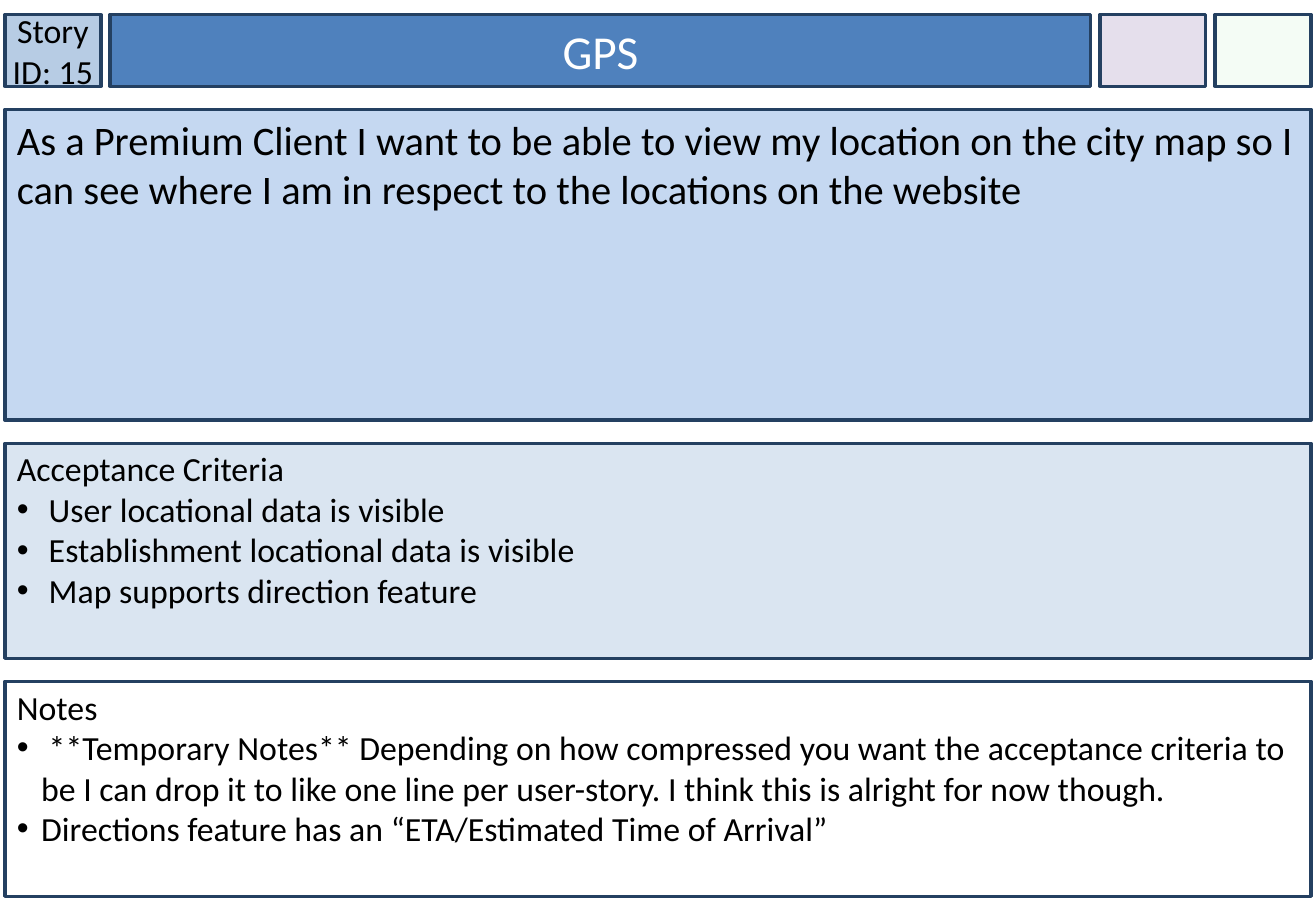
import dataclasses
import itertools

import lxml.etree
import pptx
import pptx.dml.color
import pptx.enum.shapes
import pptx.enum.text
import pptx.oxml
import pptx.oxml.ns
import pptx.util

COLORS = {
    "outline": "244061",
    "id": "B7CCE4",
    "title": "4F81BD",
    "story": "C5D8F1",
    "criteria": "DAE5F1",
    "priority": "E5DFEC",
    "estimate": "CCF0CD",
    "white": "FFFFFF",
    "black": "000000",
}
SLIDE_WIDTH, SLIDE_HEIGHT = 10.83, 7.5
LEFT, TOP, CARD_WIDTH = 0.04, 0.12, 10.75
ROW_HEIGHTS = (0.59, 2.56, 1.77, 1.77)
ROW_GAP = 0.19
HEADER_WIDTHS = (0.79, 8.07, 0.87, 0.79)
BULLET_INDENT = 0.2
ALIGN = pptx.enum.text.PP_ALIGN
ANCHOR = pptx.enum.text.MSO_ANCHOR


@dataclasses.dataclass(frozen=True)
class Panel:
    row: int
    fill: str
    column: int | None = None
    text: str = ""
    bullets: tuple[str, ...] = ()
    size: int = 20
    color: str = "black"
    side_inset: float = 0.1
    top_inset: float = 0.05
    opacity: int = 100


PANELS = (
    Panel(0, "id", 0, "Story ID: 15", side_inset=0),
    Panel(0, "title", 1, "GPS", size=28, color="white"),
    Panel(0, "priority", 2),
    Panel(0, "estimate", 3, opacity=20),
    Panel(
        1,
        "story",
        text="As a Premium Client I want to be able to view my location on the city map "
        "so I can see where I am in respect to the locations on the website",
        size=24,
    ),
    Panel(
        2,
        "criteria",
        text="Acceptance Criteria",
        bullets=(
            " User locational data is visible",
            " Establishment locational data is visible",
            " Map supports direction feature",
        ),
        top_inset=0.04,
    ),
    Panel(
        3,
        "white",
        text="Notes",
        bullets=(
            " **Temporary Notes** Depending on how compressed you want the acceptance "
            "criteria to be I can drop it to like one line per user-story. "
            "I think this is alright for now though. ",
            "Directions feature has an “ETA/Estimated Time of Arrival”",
        ),
        top_inset=0.04,
    ),
)


def rgb(name: str) -> pptx.dml.color.RGBColor:
    return pptx.dml.color.RGBColor.from_string(COLORS[name])


def starts(first: float, sizes: tuple[float, ...], gap: float) -> list[float]:
    return list(itertools.accumulate((size + gap for size in sizes[:-1]), initial=first))


ROW_TOPS = starts(TOP, ROW_HEIGHTS, ROW_GAP)
COLUMN_GAP = (CARD_WIDTH - sum(HEADER_WIDTHS)) / (len(HEADER_WIDTHS) - 1)
COLUMN_LEFTS = starts(LEFT, HEADER_WIDTHS, COLUMN_GAP)


def set_all(target: object, values: dict[str, object]) -> None:
    for name, value in values.items():
        setattr(target, name, value)


def add_bullet(para) -> None:
    indent = pptx.util.Inches(BULLET_INDENT)
    properties = para._p.get_or_add_pPr()
    properties.set("marL", str(indent))
    properties.set("indent", str(-indent))
    namespace = pptx.oxml.ns.nsdecls("a")
    for markup in (
        f'<a:buClr {namespace}><a:srgbClr val="{COLORS["black"]}"/></a:buClr>',
        f'<a:buFont {namespace} typeface="Arial"/>',
        f'<a:buChar {namespace} char="•"/>',
    ):
        properties.append(pptx.oxml.parse_xml(markup))


def write_text(box, panel: Panel) -> None:
    header = panel.column is not None
    frame = box.text_frame
    set_all(frame, {
        "word_wrap": True,
        "vertical_anchor": ANCHOR.MIDDLE if header else ANCHOR.TOP,
        "margin_left": pptx.util.Inches(panel.side_inset),
        "margin_right": pptx.util.Inches(panel.side_inset),
        "margin_top": pptx.util.Inches(panel.top_inset),
        "margin_bottom": pptx.util.Inches(0.05),
    })
    for index, text in enumerate((panel.text, *panel.bullets)):
        para = frame.add_paragraph() if index else frame.paragraphs[0]
        para.alignment = ALIGN.CENTER if header else ALIGN.LEFT
        if index:
            add_bullet(para)
        span = para.add_run()
        span.text = text
        set_all(span.font, {"name": "Calibri", "size": pptx.util.Pt(panel.size)})
        span.font.color.rgb = rgb(panel.color)


def draw_panel(page, panel: Panel) -> None:
    left, width = LEFT, CARD_WIDTH
    if panel.column is not None:
        left, width = COLUMN_LEFTS[panel.column], HEADER_WIDTHS[panel.column]
    bounds = (left, ROW_TOPS[panel.row], width, ROW_HEIGHTS[panel.row])
    box = page.shapes.add_shape(
        pptx.enum.shapes.MSO_SHAPE.RECTANGLE, *map(pptx.util.Inches, bounds)
    )
    box.shadow.inherit = False
    box.fill.solid()
    box.fill.fore_color.rgb = rgb(panel.fill)
    box.line.color.rgb = rgb("outline")
    box.line.width = pptx.util.Pt(2)
    if panel.opacity < 100:
        tint = box._element.spPr.find(pptx.oxml.ns.qn("a:solidFill"))[0]
        alpha = lxml.etree.SubElement(tint, pptx.oxml.ns.qn("a:alpha"))
        alpha.set("val", str(panel.opacity * 1000))
    if panel.text:
        write_text(box, panel)


deck = pptx.Presentation()
set_all(deck, {
    "slide_width": pptx.util.Inches(SLIDE_WIDTH),
    "slide_height": pptx.util.Inches(SLIDE_HEIGHT),
})
page = deck.slides.add_slide(deck.slide_layouts[6])
for panel in PANELS:
    draw_panel(page, panel)
deck.save("out.pptx")
